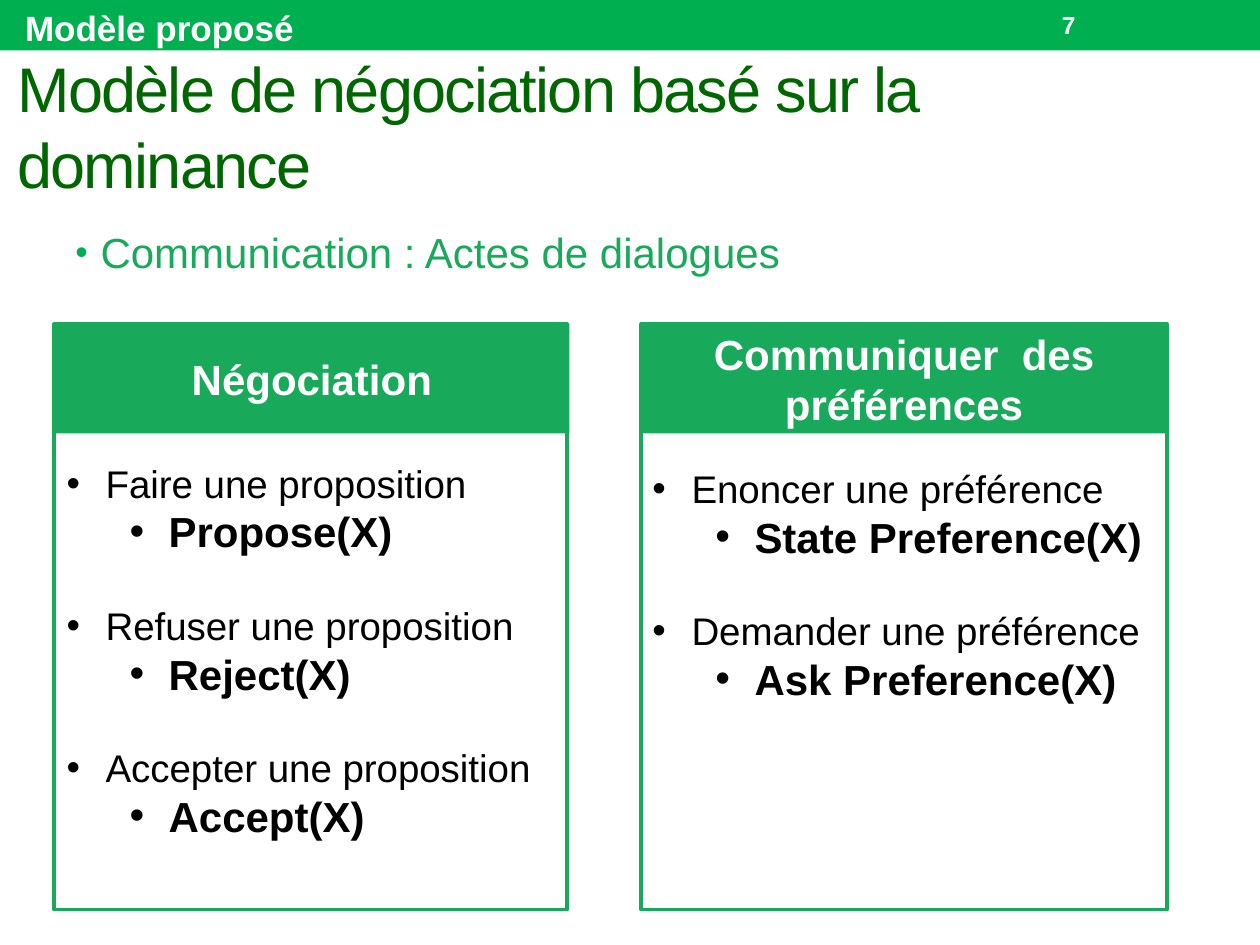
from dataclasses import dataclass

import pptx
import pptx.dml.color
import pptx.enum.shapes
import pptx.enum.text
import pptx.oxml
import pptx.oxml.ns
import pptx.util
from pptx.util import Inches

FONT = "Arial"
WHITE = "FFFFFF"
BLACK = "000000"
GREEN = "19A95A"
BAR_GREEN = "00B050"
TITLE_GREEN = "006600"
PANEL_TOP = 2.57
MIDDLE = pptx.enum.text.MSO_ANCHOR.MIDDLE
TOP = pptx.enum.text.MSO_ANCHOR.TOP


@dataclass
class Box:
    left: float
    top: float
    width: float
    height: float


@dataclass
class DialogueAct:
    label: str
    call: str


@dataclass
class Panel:
    heading: str
    frame: Box
    heading_width: float
    text: Box
    acts: list[DialogueAct]


PANELS = [
    Panel("Négociation", Box(0.43, PANEL_TOP, 4.07, 4.65), 4.09,
          Box(0.43, 3.6, 4.07, 3.16),
          [DialogueAct("Faire une proposition", "Propose(X)"),
           DialogueAct("Refuser une proposition", "Reject(X)"),
           DialogueAct("Accepter une proposition", "Accept(X)")]),
    Panel("Communiquer  des préférences", Box(5.09, PANEL_TOP, 4.17, 4.65), 4.17,
          Box(5.08, 3.64, 4.19, 2.76),
          [DialogueAct("Enoncer une préférence", "State Preference(X)"),
           DialogueAct("Demander une préférence", "Ask Preference(X)")]),
]


def color(value: str) -> pptx.dml.color.RGBColor:
    return pptx.dml.color.RGBColor.from_string(value)


def place(box: Box) -> list[int]:
    return [Inches(box.left), Inches(box.top), Inches(box.width), Inches(box.height)]


def write(paragraph, text: str, size: float, text_color: str, bold: bool = False) -> None:
    paragraph.text = text
    paragraph.font.name = FONT
    paragraph.font.size = pptx.util.Pt(size)
    paragraph.font.bold = bold
    paragraph.font.color.rgb = color(text_color)


def add_bullet(paragraph, margin: float, hanging: float,
               bullet_color: str = "", percent: int = 0) -> None:
    properties = paragraph._p.get_or_add_pPr()
    properties.set("marL", str(Inches(margin)))
    properties.set("indent", str(-Inches(hanging)))
    namespace = pptx.oxml.ns.nsdecls("a")
    parts = []
    if bullet_color:
        parts.append(f'<a:buClr {namespace}><a:srgbClr val="{bullet_color}"/></a:buClr>')
    if percent:
        parts.append(f'<a:buSzPct {namespace} val="{percent * 1000}"/>')
    parts.append(f'<a:buFont {namespace} typeface="{FONT}"/>')
    parts.append(f'<a:buChar {namespace} char="•"/>')
    for part in parts:
        properties.append(pptx.oxml.parse_xml(part))


def add_rectangle(slide, box: Box, fill: str = "", line: str = ""):
    shape = slide.shapes.add_shape(pptx.enum.shapes.MSO_SHAPE.RECTANGLE, *place(box))
    shape.shadow.inherit = False
    if fill:
        shape.fill.solid()
        shape.fill.fore_color.rgb = color(fill)
    else:
        shape.fill.background()
    if line:
        shape.line.color.rgb = color(line)
        shape.line.width = pptx.util.Pt(2.08)
    else:
        shape.line.fill.background()
    return shape


def add_text_frame(slide, box: Box, anchor=TOP, wrap: bool = True):
    frame = slide.shapes.add_textbox(*place(box)).text_frame
    frame.word_wrap = wrap
    frame.vertical_anchor = anchor
    return frame


def add_title(slide, text: str) -> None:
    frame = add_text_frame(slide, Box(0.04, 0.37, 9.8, 1.25), MIDDLE)
    frame.margin_right = Inches(0.2)
    paragraph = frame.paragraphs[0]
    write(paragraph, text, 36, TITLE_GREEN)
    paragraph._p.pPr.find(pptx.oxml.ns.qn("a:defRPr")).set("spc", "-100")


def add_panel(slide, panel: Panel) -> None:
    add_rectangle(slide, panel.frame, line=GREEN)
    heading_box = Box(panel.frame.left, PANEL_TOP, panel.heading_width, 0.87)
    heading = add_rectangle(slide, heading_box, fill=GREEN).text_frame
    heading.vertical_anchor = MIDDLE
    heading.paragraphs[0].alignment = pptx.enum.text.PP_ALIGN.CENTER
    write(heading.paragraphs[0], panel.heading, 24, WHITE, True)

    frame = add_text_frame(slide, panel.text)
    for index, act in enumerate(panel.acts):
        label = frame.add_paragraph() if index else frame.paragraphs[0]
        add_bullet(label, 0.31, 0.31)
        write(label, act.label, 22, BLACK)
        if index:
            label.space_before = pptx.util.Pt(26)
        call = frame.add_paragraph()
        add_bullet(call, 0.81, 0.31)
        write(call, act.call, 24, BLACK, True)


def main() -> None:
    presentation = pptx.Presentation()
    presentation.slide_width = Inches(10)
    presentation.slide_height = Inches(7.5)
    slide = presentation.slides.add_slide(presentation.slide_layouts[6])

    add_rectangle(slide, Box(0, 0, 10, 0.4), fill=BAR_GREEN)
    add_title(slide, "Modèle de négociation basé sur la dominance")

    topic = add_text_frame(slide, Box(0.5, 1.75, 9, 5.33)).paragraphs[0]
    add_bullet(topic, 0.2, 0.2, BAR_GREEN, 85)
    write(topic, "Communication : Actes de dialogues", 24, GREEN)

    number = add_text_frame(slide, Box(8.33, 0.02, 1.17, 0.36), MIDDLE)
    write(number.paragraphs[0], "7", 14, WHITE, True)
    section = add_text_frame(slide, Box(0.1, 0, 2.35, 0.44), wrap=False)
    write(section.paragraphs[0], "Modèle proposé", 20, WHITE, True)

    for panel in PANELS:
        add_panel(slide, panel)
    presentation.save("out.pptx")


if __name__ == "__main__":
    main()
